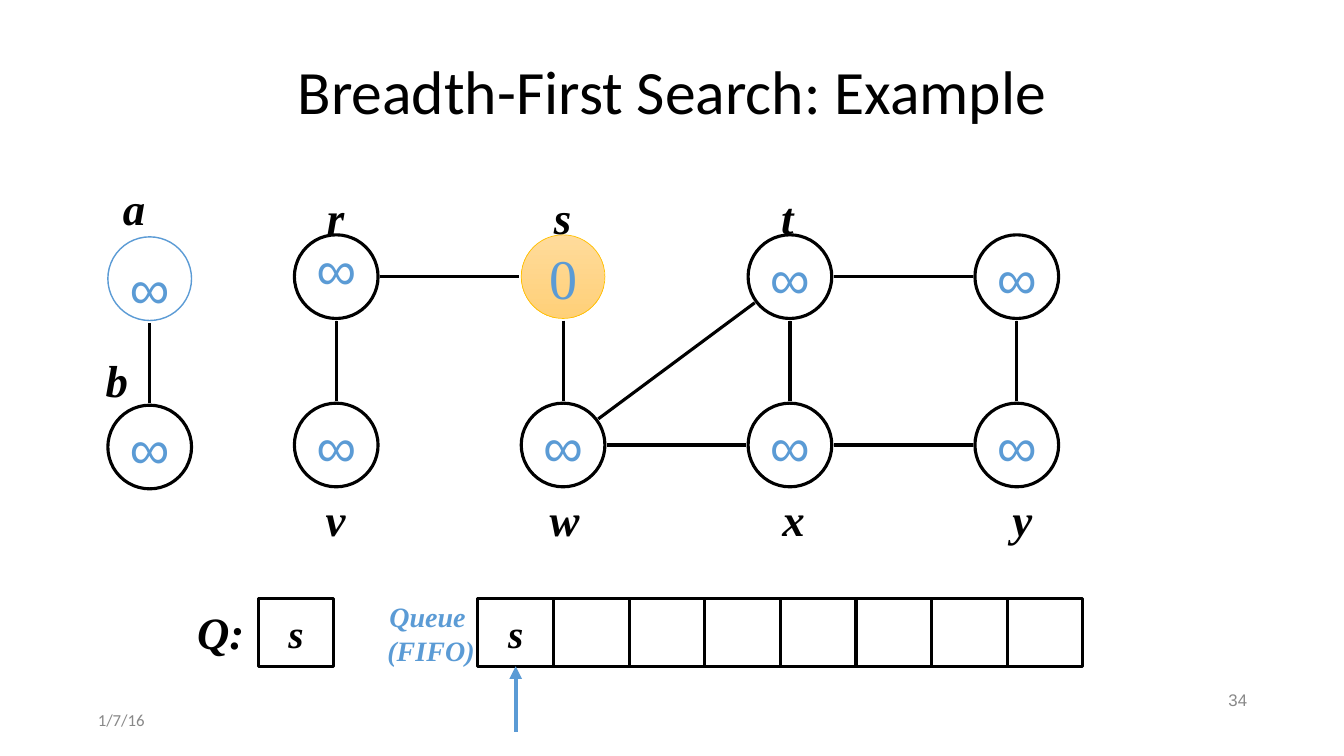
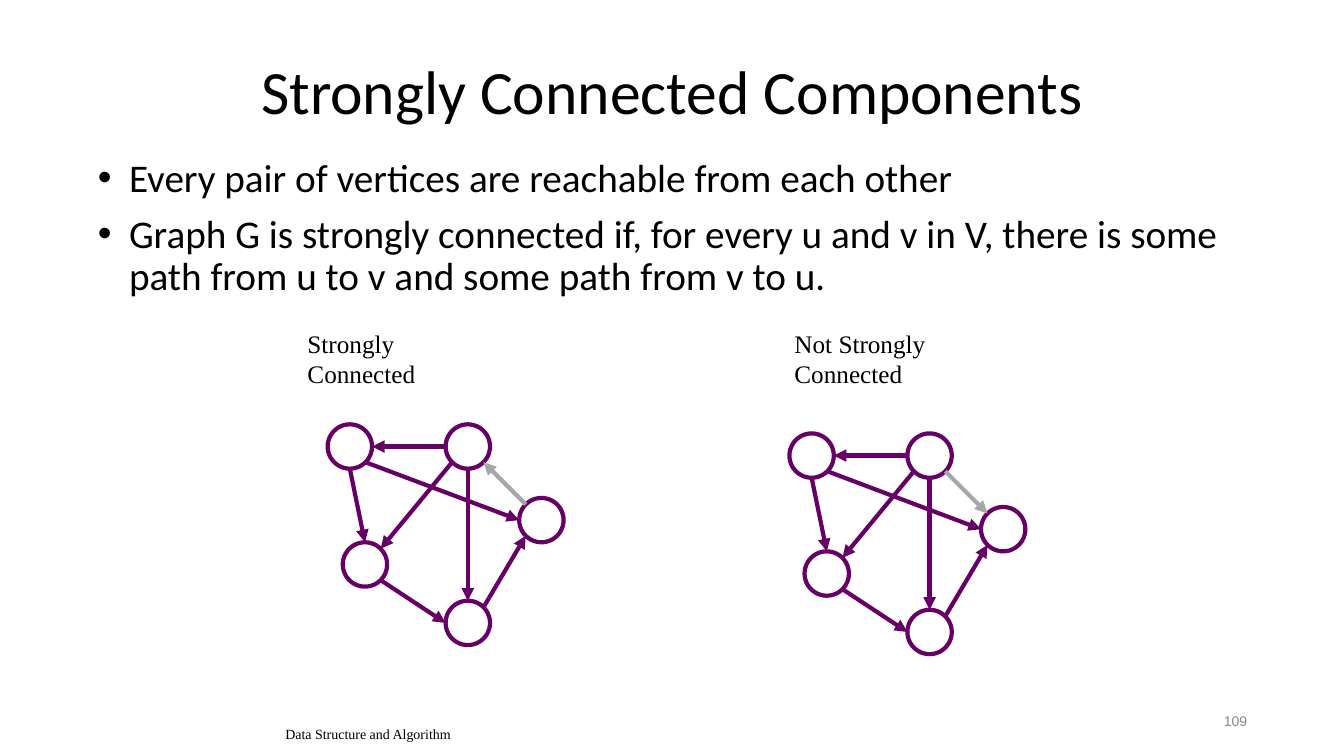
import math
import pptx
import pptx.util
import pptx.dml.color
import pptx.enum.dml
import pptx.enum.shapes
import pptx.enum.text
import pptx.oxml
import pptx.oxml.ns

Inches = pptx.util.Inches
Pt = pptx.util.Pt
Shape = pptx.enum.shapes.MSO_SHAPE
Align = pptx.enum.text.PP_ALIGN
Anchor = pptx.enum.text.MSO_ANCHOR


class Theme:
    black = "000000"
    white = "FFFFFF"
    blue = "5B9BD5"
    gray = "888888"
    pale = "A7A7A7"
    plum = "660066"
    gold = "FFC000"
    glow = ("FFDB9B", "FFD078")
    sans = "Calibri"
    plain = "Arial"
    serif = "Times New Roman"
    title = 44
    body = 28
    sign = 40
    label = 32
    cell = 28
    queue = 20
    note = 18
    foot = 12
    small = 10
    thin = 2.25
    thick = 3


TITLES = ("Breadth-First Search: Example", "Strongly Connected Components")

SIZE = 0.83
COLS = [2.92 + 2.25 * i for i in range(4)]
ROWS = (2.33, 4)
NODES = {
    "r": (COLS[0], ROWS[0]), "s": (COLS[1], ROWS[0]),
    "t": (COLS[2], ROWS[0]), "u": (COLS[3], ROWS[0]),
    "v": (COLS[0], ROWS[1]), "w": (COLS[1], ROWS[1]),
    "x": (COLS[2], ROWS[1]), "y": (COLS[3], ROWS[1]),
    "a": (1.07, 2.35), "b": (1.07, 4.02),
}
EDGES = ("vr", "rs", "sw", "wt", "wx", "xt", "tu", "xy", "yu", "ba")
LABELS = {
    "r": (3.33, 1.83), "s": (5.58, 1.83), "t": (7.81, 1.83),
    "v": (3.33, 4.83), "w": (5.6, 4.83), "x": (7.87, 4.83),
    "y": (10.14, 4.83), "a": (1.33, 1.74), "b": (1.16, 3.45),
}
CELLS = ["s"] + [""] * 7
CELL = (0.75, 0.67)
CELL_TOP = 5.94

POINTS = (
    "Every pair of vertices are reachable from each other",
    "Graph G is strongly connected if, for every u and v in V, there is some "
    "path from u to v and some path from v to u.",
)
DOT = 0.44
DOTS = {"p": (3.25, 4.21), "q": (4.42, 4.21), "u": (3.4, 5.38),
        "d": (4.42, 5.96), "e": (5.15, 4.94)}
ARROWS = (
    ("p", "S", "u", "N"), ("u", "SE", "d", "W"), ("d", "NE", "e", "SW"),
    ("q", "W", "p", "E"), ("q", "SW", "u", "NE"), ("q", "S", "d", "N"),
    ("p", "SE", "e", "W"),
)
BACK = ("e", "NW", "q", "SE")
GRAPHS = (
    ("Strongly Connected", 3, (0, 0), BACK),
    ("Not Strongly Connected", 7.83, (4.58, 0.09), BACK[2:] + BACK[:2]),
)
TURN = {"E": 0, "SE": 45, "S": 90, "SW": 135, "W": 180, "NW": 225, "N": 270, "NE": 315}


def rgb(code):
    return pptx.dml.color.RGBColor.from_string(code)


def setup(frame, anchor=Anchor.TOP, wrap=True, pad=0.05):
    frame.word_wrap = wrap
    frame.auto_size = pptx.enum.text.MSO_AUTO_SIZE.NONE
    frame.vertical_anchor = anchor
    frame.margin_left = frame.margin_right = Inches(pad)
    frame.margin_top = frame.margin_bottom = Inches(pad)


def write(frame, lines, size, face, color, align=Align.LEFT, bold=False, space=None):
    for i, line in enumerate(lines):
        para = frame.paragraphs[0] if i == 0 else frame.add_paragraph()
        para.alignment = align
        if space:
            para.line_spacing = space
        run = para.add_run()
        run.text = line
        run.font.size = Pt(size)
        run.font.name = face
        run.font.color.rgb = rgb(color)
        run.font.bold = run.font.italic = bold


def place(shape, box):
    shape.left, shape.top, shape.width, shape.height = map(Inches, box)


def text(slide, box, lines, size, face, color, anchor=Anchor.TOP, wrap=True, **style):
    frame = slide.shapes.add_textbox(*map(Inches, box)).text_frame
    setup(frame, anchor, wrap)
    write(frame, lines, size, face, color, **style)
    return frame


def form(slide, kind, box, color, width, fill=None):
    shape = slide.shapes.add_shape(kind, *map(Inches, box))
    shape.shadow.inherit = False
    shape.line.color.rgb = rgb(color)
    shape.line.width = Pt(width)
    if fill:
        shape.fill.solid()
        shape.fill.fore_color.rgb = rgb(fill)
    else:
        shape.fill.background()
    return shape


def link(slide, start, end, color, width, arrow=False):
    line = slide.shapes.add_connector(
        pptx.enum.shapes.MSO_CONNECTOR.STRAIGHT, *map(Inches, (*start, *end)))
    line.line.color.rgb = rgb(color)
    line.line.width = Pt(width)
    if arrow:
        tail = pptx.oxml.parse_xml(
            '<a:tailEnd %s type="triangle"/>' % pptx.oxml.ns.nsdecls("a"))
        line.line._get_or_add_ln().append(tail)
    line._element.spPr.append(pptx.oxml.parse_xml(
        "<a:effectLst %s/>" % pptx.oxml.ns.nsdecls("a")))
    return line


def start(deck, title, box):
    slide = deck.slides.add_slide(deck.slide_layouts[5])
    place(slide.shapes.title, box)
    frame = slide.shapes.title.text_frame
    setup(frame, Anchor.MIDDLE)
    write(frame, [title], Theme.title, Theme.sans, Theme.black, Align.CENTER, space=0.9)
    return slide


def number(slide, value, top, size):
    text(slide, (9.42, top, 3, 0.29), [value], size, Theme.plain, Theme.gray,
         Anchor.MIDDLE, align=Align.RIGHT)


def node(slide, name):
    root = name == "s"
    pale = name == "a"
    color = Theme.gold if root else Theme.blue if pale else Theme.black
    width = 0.5 if root else 1 if pale else Theme.thin
    ring = form(slide, Shape.OVAL, (*NODES[name], SIZE, SIZE), color, width,
                Theme.white if pale else None)
    if root:
        ring.fill.gradient()
        ring.fill.gradient_angle = 270
        for stop, shade in zip(ring.fill.gradient_stops, Theme.glow):
            stop.color.rgb = rgb(shade)
    frame = ring.text_frame
    setup(frame, Anchor.MIDDLE, False, 0)
    if pale:
        frame.margin_top = Inches(0.17)
    write(frame, ["0" if root else "∞"], Theme.sign,
          Theme.serif if root else Theme.plain, Theme.blue, Align.CENTER,
          space=0.7 if name == "r" else None)


def edge(slide, pair):
    (ax, ay), (bx, by) = [[n + SIZE / 2 for n in NODES[k]] for k in pair]
    span = math.hypot(bx - ax, by - ay)
    dx, dy = [n / span * (SIZE / 2 + 0.02) for n in (bx - ax, by - ay)]
    link(slide, (ax + dx, ay + dy), (bx - dx, by - dy), Theme.black, Theme.thin)


def cell(slide, left, word):
    box = form(slide, Shape.RECTANGLE, (left, CELL_TOP, *CELL), Theme.black, Theme.thin)
    if word:
        setup(box.text_frame, Anchor.MIDDLE, False)
        write(box.text_frame, [word], Theme.cell, Theme.serif, Theme.black,
              Align.CENTER, True)
    return box


def search(deck):
    slide = start(deck, TITLES[0], (0.92, 0.4, 11.5, 1.07))
    for name in NODES:
        node(slide, name)
    for pair in EDGES:
        edge(slide, pair)
    for name, (mid, top) in LABELS.items():
        text(slide, (mid - 0.2, top, 0.4, 0.6), [name], Theme.label, Theme.serif,
             Theme.black, wrap=False, align=Align.CENTER, bold=True)
    text(slide, (1.9, 5.97, 0.58, 0.6), ["Q:"], Theme.label, Theme.serif, Theme.black,
         Anchor.MIDDLE, False, align=Align.CENTER, bold=True)
    cell(slide, 2.56, "s")
    row = [cell(slide, 4.74 + i * CELL[0], word) for i, word in enumerate(CELLS)]
    text(slide, (3.77, 5.9, 1.01, 0.73), ["Queue ", "(FIFO)"], Theme.queue, Theme.serif,
         Theme.blue, align=Align.CENTER, bold=True)
    mid = 4.74 + CELL[0] / 2
    head = link(slide, (mid, 7.26), (mid, CELL_TOP + CELL[1]), Theme.blue,
                Theme.thick, True)
    head.end_connect(row[0], 2)
    number(slide, "34", 6.8, Theme.foot)
    text(slide, (0.92, 7, 3, 0.29), ["1/7/16"], Theme.foot, Theme.sans, Theme.gray,
         Anchor.MIDDLE)


def graph(slide, shift, back):
    spots = {k: (x + shift[0], y + shift[1]) for k, (x, y) in DOTS.items()}

    def site(name, side):
        turn = math.radians(TURN[side])
        x, y = spots[name]
        return (x + DOT / 2 * (1 + math.cos(turn)), y + DOT / 2 * (1 + math.sin(turn)))

    for spot in spots.values():
        form(slide, Shape.OVAL, (*spot, DOT, DOT), Theme.plum, Theme.thick, Theme.white)
    for a, out, b, into in ARROWS + (back,):
        color = Theme.pale if (a, out, b, into) == back else Theme.plum
        link(slide, site(a, out), site(b, into), color, Theme.thick, True)


def strong(deck):
    slide = start(deck, TITLES[1], (0.92, 0.07, 11.5, 1.73))
    frame = text(slide, (0.92, 1.52, 11.5, 1.65), POINTS, Theme.body, Theme.sans,
                 Theme.black, space=0.9)
    for i, para in enumerate(frame.paragraphs):
        props = para._p.get_or_add_pPr()
        props.set("marL", str(Inches(0.31)))
        props.set("indent", str(Inches(-0.31)))
        if i:
            para.space_before = Pt(10)
        for tag in ('buFont %s typeface="Arial"', 'buChar %s char="•"'):
            props.append(pptx.oxml.parse_xml(
                "<a:" + tag % pptx.oxml.ns.nsdecls("a") + "/>"))
    for name, left, shift, back in GRAPHS:
        text(slide, (left, 3.21, 1.5, 0.67), [name], Theme.note, Theme.serif, Theme.black)
        graph(slide, shift, back)
    text(slide, (2.78, 7.15, 3.17, 0.25), ["Data Structure and Algorithm"],
         Theme.small, Theme.serif, Theme.black)
    number(slide, "109", 7.01, Theme.small)


def main():
    deck = pptx.Presentation()
    deck.slide_width = Inches(13.33)
    deck.slide_height = Inches(7.5)
    search(deck)
    strong(deck)
    deck.save("out.pptx")


if __name__ == "__main__":
    main()
